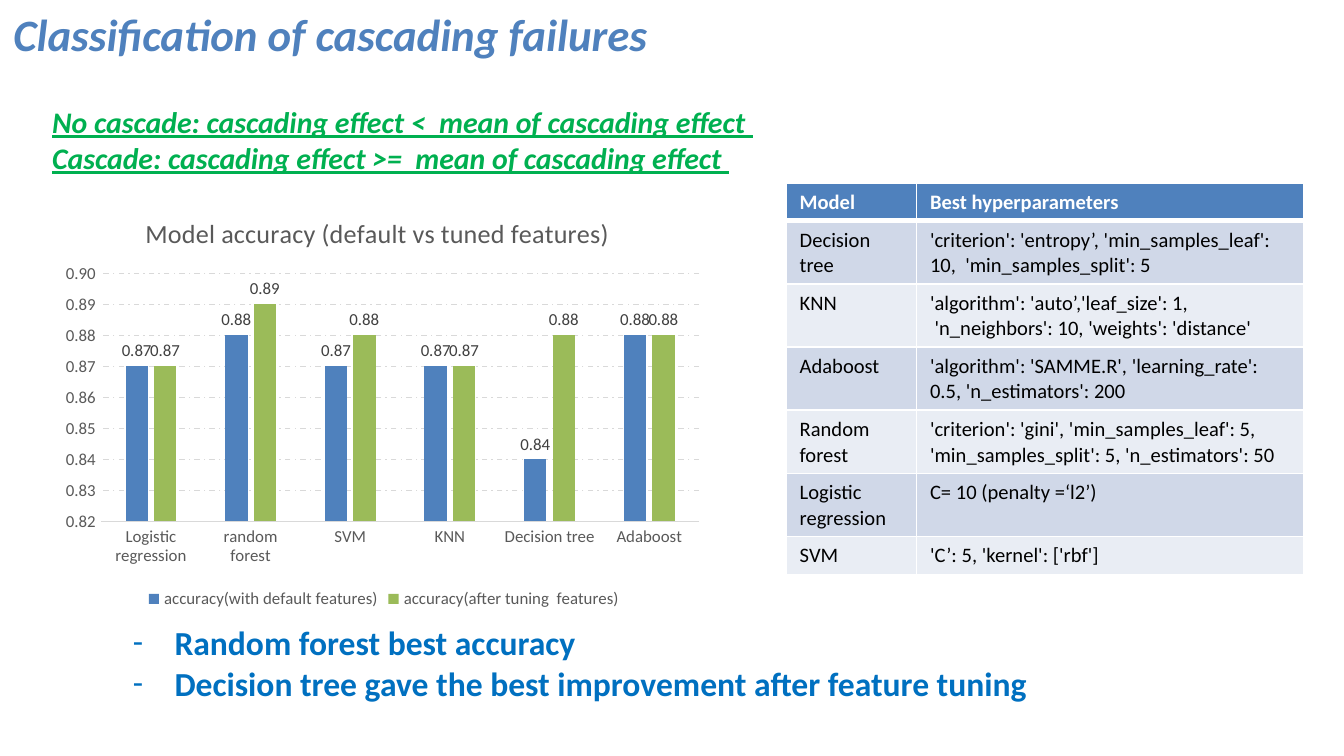
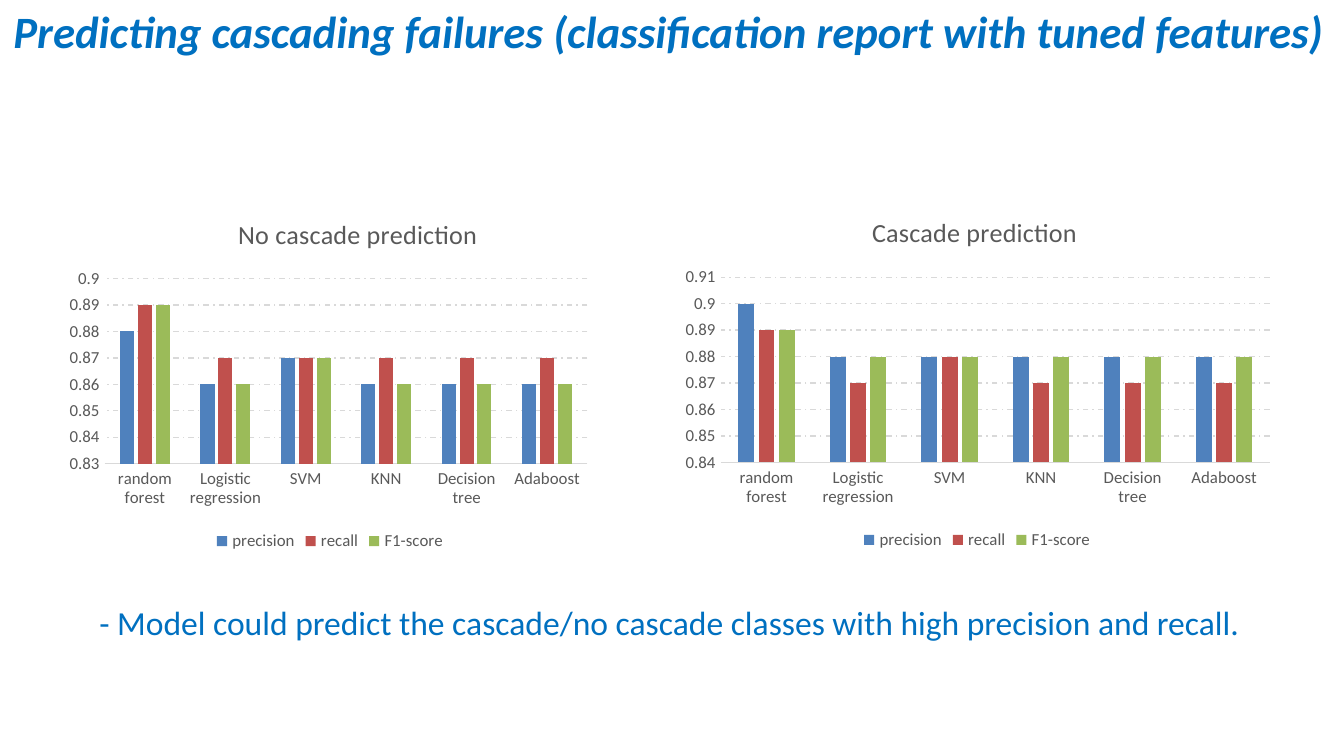
from pptx import Presentation
from pptx.chart.data import CategoryChartData
from pptx.dml.color import RGBColor
from pptx.enum.chart import XL_CHART_TYPE as ChartType, XL_LABEL_POSITION as LabelPosition
from pptx.enum.chart import XL_LEGEND_POSITION as LegendPosition, XL_TICK_MARK as TickMark
from pptx.enum.dml import MSO_LINE_DASH_STYLE as DashStyle
from pptx.enum.text import MSO_ANCHOR as Anchor, MSO_AUTO_SIZE as AutoSize, PP_ALIGN as Align
from pptx.oxml import parse_xml
from pptx.oxml.ns import nsdecls
from pptx.util import Inches, Pt

FONT = "Calibri"
COLORS = {
    "blue": "4F81BD", "red": "C0504D", "lime": "9BBB59",
    "azure": "0070C0", "green": "00B050", "white": "FFFFFF", "black": "000000",
    "text": "595959", "label": "404040", "grid": "D9D9D9",
    "odd_row": "D0D8E8", "even_row": "E9EDF4",
}
COLORS_RGB = {name: RGBColor.from_string(value) for name, value in COLORS.items()}


def style_font(font, size, color, bold=False, italic=False, underline=False):
    font.name = FONT
    font.size = Pt(size)
    font.color.rgb = COLORS_RGB[color]
    font.bold = bold
    font.italic = italic
    font.underline = underline


def add_column_chart(slide, box, title, title_spot, plot_spot, categories, series, limits, number_format):
    chart_data = CategoryChartData()
    chart_data.categories = categories
    for name, color, values in series:
        chart_data.add_series(name, values)
    chart = slide.shapes.add_chart(
        ChartType.COLUMN_CLUSTERED, *[Inches(length) for length in box], chart_data).chart
    style_font(chart.font, 10, "black")

    chart.has_title = True
    title_frame = chart.chart_title.text_frame
    title_frame.text = title
    style_font(title_frame.paragraphs[0].runs[0].font, 14, "text")
    chart.chart_title.include_in_layout = False

    chart.has_legend = True
    chart.legend.position = LegendPosition.BOTTOM
    chart.legend.include_in_layout = False
    style_font(chart.legend.font, 9, "text")

    category_axis, value_axis = chart.category_axis, chart.value_axis
    for axis in (category_axis, value_axis):
        axis.major_tick_mark = TickMark.NONE
        axis.minor_tick_mark = TickMark.NONE
        style_font(axis.tick_labels.font, 9, "text")
    value_axis.minimum_scale, value_axis.maximum_scale = limits
    value_axis.major_unit = 0.01
    value_axis.tick_labels.number_format = number_format
    value_axis.tick_labels.number_format_is_linked = False
    value_axis.format.line.fill.background()
    value_axis.has_major_gridlines = True
    for line in (category_axis.format.line, value_axis.major_gridlines.format.line):
        line.color.rgb = COLORS_RGB["grid"]
        line.width = Pt(0.75)
    value_axis.major_gridlines.format.line.dash_style = DashStyle.DASH_DOT

    plot = chart.plots[0]
    plot.vary_by_categories = False
    plot.gap_width = 219
    plot.overlap = -27
    for column, (name, color, values) in zip(plot.series, series):
        column.format.fill.solid()
        column.format.fill.fore_color.rgb = COLORS_RGB[color]

    plot_area = chart.element.xpath("c:chart/c:plotArea")[0]
    for element, index, target, spot in (
            (chart.chart_title.element, 1, "", title_spot),
            (plot_area, 0, '<c:layoutTarget val="inner"/>', plot_spot)):
        for layout in element.xpath("c:layout"):
            element.remove(layout)
        modes = '<c:xMode val="edge"/><c:yMode val="edge"/>'
        lengths = "".join(f'<c:{key} val="{value}"/>' for key, value in zip("xywh", spot))
        element.insert(index, parse_xml(
            f'<c:layout {nsdecls("c")}><c:manualLayout>{target}{modes}{lengths}'
            '</c:manualLayout></c:layout>'))
    return chart


presentation = Presentation()
presentation.slide_width = Inches(10)
presentation.slide_height = presentation.slide_width * 9 // 16

titles = [
    ("Classification of cascading failures", "blue", (0, 0, 8.4, 0.64)),
    ("Predicting cascading failures (classification report with tuned features)",
     "azure", (0, -0.02, 10.17, 0.5)),
]
slides = []
for text, color, box in titles:
    slide = presentation.slides.add_slide(presentation.slide_layouts[5])
    title = slide.shapes.title
    title.left, title.top, title.width, title.height = [Inches(length) for length in box]
    title.text_frame.text = text
    title.text_frame.word_wrap = True
    title.text_frame.auto_size = AutoSize.NONE
    title.text_frame.vertical_anchor = Anchor.TOP
    paragraph = title.text_frame.paragraphs[0]
    paragraph.alignment = Align.LEFT
    style_font(paragraph.runs[0].font, 24, color, bold=True, italic=True)
    slides.append(slide)
accuracy_slide, report_slide = slides

notes = [
    (accuracy_slide, (0.29, 0.72, 6.61, 0.91), 16, "green", (True, True, True), False,
     ["No cascade: cascading effect <  mean of cascading effect ",
      "Cascade: cascading effect >=  mean of cascading effect "]),
    (accuracy_slide, (0.89, 4.58, 7.35, 0.71), 18, "azure", (True, False, False), True,
     ["Random forest best accuracy",
      "Decision tree gave the best improvement after feature tuning"]),
    (report_slide, (0.64, 4.43, 9.11, 0.4), 18, "azure", (False, False, False), False,
     ["- Model could predict the cascade/no cascade classes with high precision and recall."]),
]
for slide, box, size, color, emphasis, bulleted, lines in notes:
    text_frame = slide.shapes.add_textbox(*[Inches(length) for length in box]).text_frame
    text_frame.word_wrap = True
    text_frame.text = "\n".join(lines)
    for paragraph in text_frame.paragraphs:
        style_font(paragraph.runs[0].font, size, color, *emphasis)
        if bulleted:
            properties = paragraph._p.get_or_add_pPr()
            properties.set("marL", str(Inches(0.31)))
            properties.set("indent", str(-Inches(0.31)))
            properties.append(parse_xml(f'<a:buFont {nsdecls("a")} typeface="{FONT}"/>'))
            properties.append(parse_xml(f'<a:buChar {nsdecls("a")} char="-"/>'))

accuracy_chart = add_column_chart(
    accuracy_slide, (0.41, 1.44, 4.89, 3.13), "Model accuracy (default vs tuned features)",
    (0.13, 0.04), (0.07, 0.19, 0.91, 0.59),
    ["Logistic regression", "random forest", "SVM", "KNN", "Decision tree", "Adaboost"],
    [("accuracy(with default features)", "blue", (0.87, 0.88, 0.87, 0.87, 0.84, 0.88)),
     ("accuracy(after tuning  features)", "lime", (0.87, 0.89, 0.88, 0.87, 0.88, 0.88))],
    (0.82, 0.9), "0.00")
for column in accuracy_chart.plots[0].series:
    labels = column.data_labels
    labels.show_value = True
    labels.position = LabelPosition.OUTSIDE_END
    labels.number_format = "0.00"
    labels.number_format_is_linked = False
    style_font(labels.font, 9, "label")

hyperparameters = [
    ("Model", "Best hyperparameters"),
    ("Decision tree", "'criterion': 'entropy’, 'min_samples_leaf': 10,  'min_samples_split': 5"),
    ("KNN", "'algorithm': 'auto’,'leaf_size': 1,\n 'n_neighbors': 10, 'weights': 'distance'"),
    ("Adaboost", "'algorithm': 'SAMME.R', 'learning_rate': 0.5, 'n_estimators': 200"),
    ("Random forest",
     "'criterion': 'gini', 'min_samples_leaf': 5, 'min_samples_split': 5, 'n_estimators': 50"),
    ("Logistic regression", "C= 10 (penalty =‘l2’)"),
    ("SVM", "'C’: 5, 'kernel': ['rbf']"),
]
table = accuracy_slide.shapes.add_table(
    len(hyperparameters), 2, Inches(5.85), Inches(1.36), Inches(3.85), Inches(2.9)).table
for column, width in zip(table.columns, (0.97, 2.88)):
    column.width = Inches(width)
for row, height in zip(table.rows, [0.27] + [0.47] * 5 + [0.27]):
    row.height = Inches(height)
for row_index, texts in enumerate(hyperparameters):
    is_header = row_index == 0
    fill = "blue" if is_header else ("even_row", "odd_row")[row_index % 2]
    for column_index, text in enumerate(texts):
        cell = table.cell(row_index, column_index)
        cell.text_frame.text = text
        for paragraph in cell.text_frame.paragraphs:
            style_font(paragraph.runs[0].font, 11, "white" if is_header else "black", bold=is_header)
        for side in "LRTB":
            heavy = (is_header and side == "B") or (row_index == 1 and side == "T")
            cell._tc.get_or_add_tcPr().append(parse_xml(
                f'<a:ln{side} {nsdecls("a")} w="{Pt(3 if heavy else 1)}"><a:solidFill>'
                f'<a:srgbClr val="{COLORS["white"]}"/></a:solidFill></a:ln{side}>'))
        cell.fill.solid()
        cell.fill.fore_color.rgb = COLORS_RGB[fill]

report_models = ["random forest", "Logistic regression", "SVM", "KNN", "Decision tree", "Adaboost"]
reports = [
    ("No cascade prediction", (0.46, 1.49, 3.99, 2.65), (0.83, 0.9),
     [(0.88, 0.86, 0.87, 0.86, 0.86, 0.86),
      (0.89, 0.87, 0.87, 0.87, 0.87, 0.87),
      (0.89, 0.86, 0.87, 0.86, 0.86, 0.86)]),
    ("Cascade prediction", (5, 1.48, 4.54, 2.65), (0.84, 0.91),
     [(0.9, 0.88, 0.88, 0.88, 0.88, 0.88),
      (0.89, 0.87, 0.88, 0.87, 0.87, 0.87),
      (0.89, 0.88, 0.88, 0.88, 0.88, 0.88)]),
]
for title, box, limits, scores in reports:
    series = list(zip(("precision", "recall", "F1-score"), ("blue", "red", "lime"), scores))
    add_column_chart(report_slide, box, title, (0.32, 0.03), (0.08, 0.22, 0.9, 0.52),
                     report_models, series, limits, "General")

presentation.save("out.pptx")
